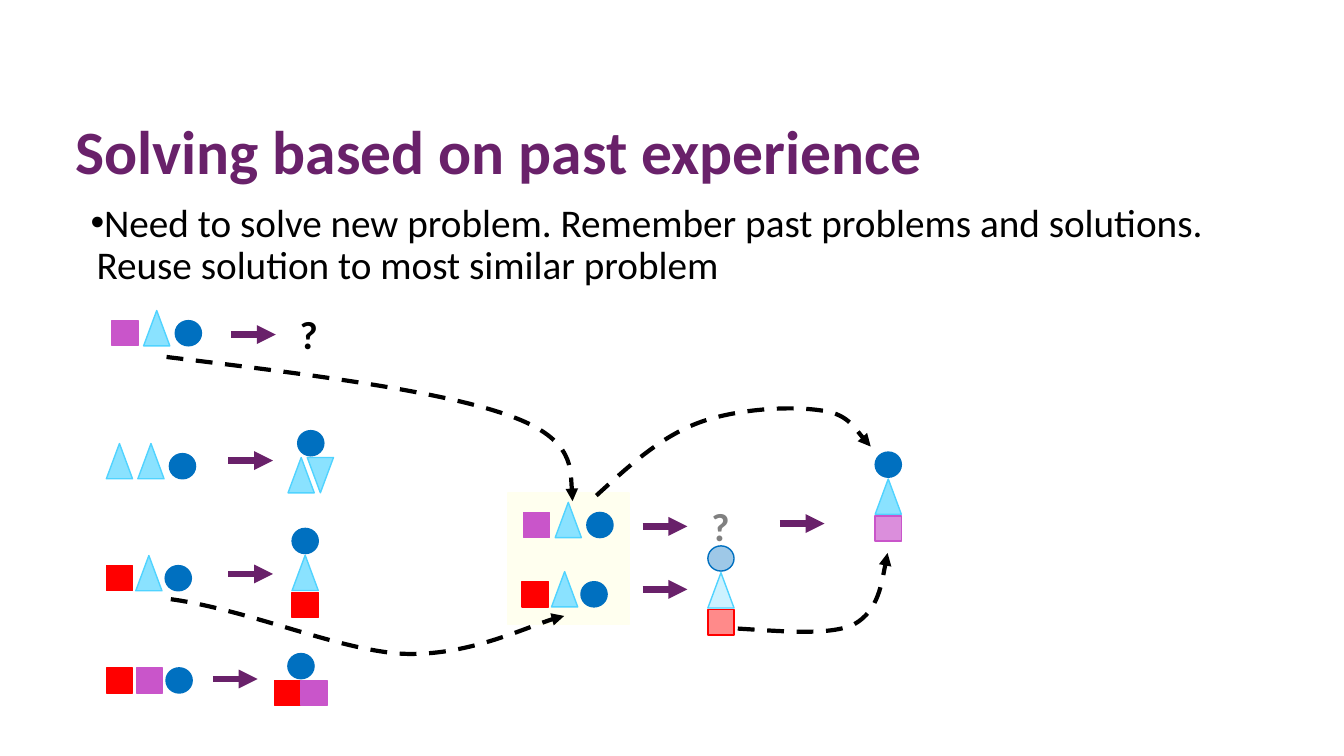
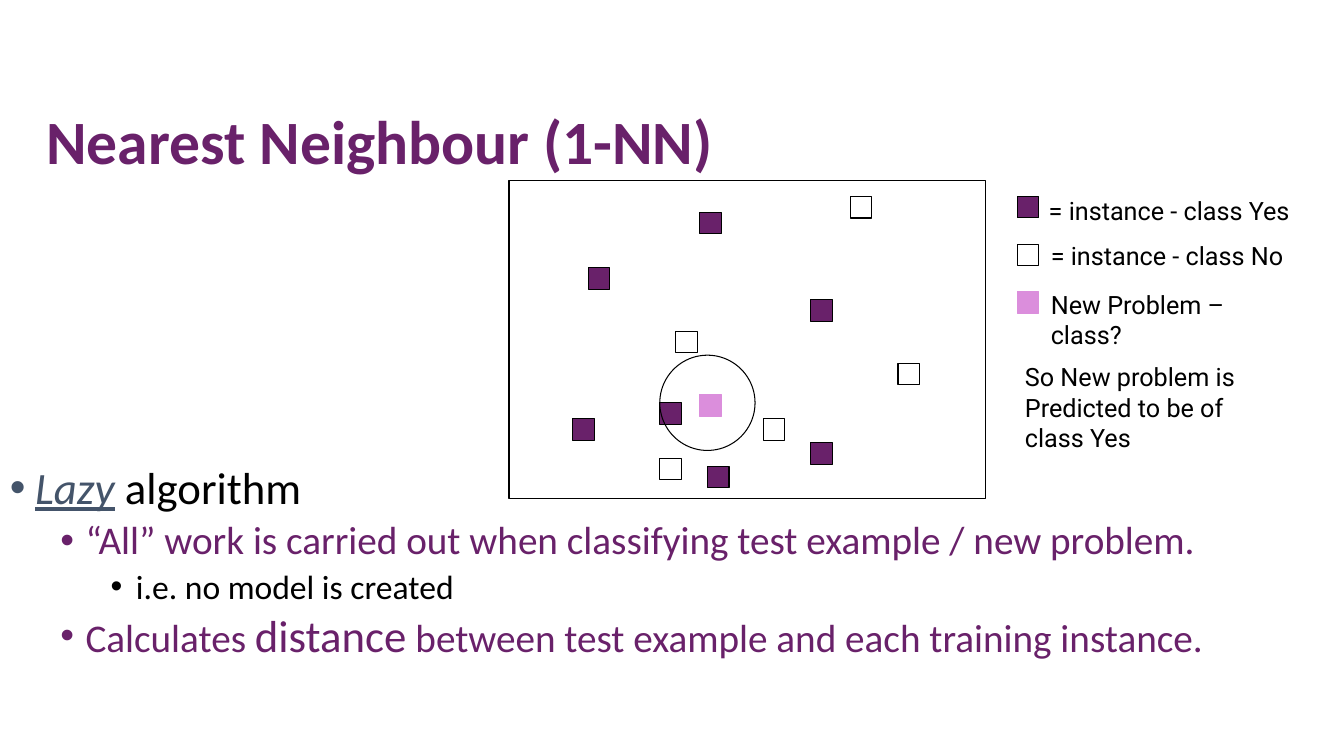
"""Build two slides on case-based solving and nearest neighbours."""
from lxml import etree
from pptx import Presentation
from pptx.dml.color import RGBColor
from pptx.enum import dml, shapes, text
from pptx.oxml import ns
from pptx.util import Pt

COLORS = {
    "plum": "69216A", "violet": "C955CA", "pink": "DB8EDC", "red": "FF0000",
    "sky": "8AE2FF", "sky_edge": "50D3FF", "blue": "0070C0", "cream": "FFFFEF",
    "black": "000000", "white": "FFFFFF", "grey": "808080", "slate": "44546A",
}
RECT = shapes.MSO_SHAPE.RECTANGLE
OVAL = shapes.MSO_SHAPE.OVAL
TRIANGLE = shapes.MSO_SHAPE.ISOSCELES_TRIANGLE

PIECE_W = 18.7
PIECES = {
    "red": (RECT, 18, "red", "red", 46),
    "violet": (RECT, 18, "violet", "violet", 100),
    "pink": (RECT, 18, "pink", "violet", 100),
    "cone": (TRIANGLE, 25.2, "sky", "sky_edge", 42),
    "flipped": (TRIANGLE, 25.2, "sky", "sky_edge", 42),
    "ball": (OVAL, 18, "blue", "blue", 38),
}
TOWER_GAP = 1.2
UNIT = 5.67
MARKER = 15.4


def rgb(name):
    """Return the named colour."""
    return RGBColor.from_string(COLORS[name])


def add_xml(parent, tag, **attrs):
    """Append a DrawingML element and return it."""
    return etree.SubElement(parent, ns.qn(tag), attrs)


def add_shape(s, kind, x, y, w, h, fill, line, weight=1.0, alpha=100):
    """Add a flat preset shape; a fill of None leaves it hollow."""
    sp = s.shapes.add_shape(kind, Pt(x), Pt(y), Pt(w), Pt(h))
    sp.shadow.inherit = False
    sp.line.color.rgb = rgb(line)
    sp.line.width = Pt(weight)
    if fill is None:
        sp.fill.background()
        return sp
    sp.fill.solid()
    sp.fill.fore_color.rgb = rgb(fill)
    if alpha < 100:
        color = sp.fill._xPr.find(".//" + ns.qn("a:srgbClr"))
        add_xml(color, "a:alpha", val=str(alpha * 1000))
    return sp


def add_textbox(s, x, y, w, h, wrap=True, anchor=text.MSO_ANCHOR.TOP):
    """Add an empty text box and return its text frame."""
    tf = s.shapes.add_textbox(Pt(x), Pt(y), Pt(w), Pt(h)).text_frame
    tf.word_wrap = wrap
    tf.vertical_anchor = anchor
    return tf


def style(font, size=None, color=None, name=None, bold=None):
    """Set the given font properties."""
    if size:
        font.size = Pt(size)
    if color:
        font.color.rgb = rgb(color)
    if name:
        font.name = name
    if bold:
        font.bold = True


def set_bullet(p, margin, level=0):
    """Give a paragraph a round bullet hanging by 18 points."""
    p.level = level
    pPr = p._p.get_or_add_pPr()
    pPr.set("marL", str(Pt(margin)))
    pPr.set("indent", str(Pt(-18)))
    add_xml(pPr, "a:buFont", typeface="Arial")
    add_xml(pPr, "a:buChar", char="•")
    p.line_spacing = 0.9


def add_title(s, x, y, words):
    """Add the slide title."""
    p = add_textbox(s, x, y, 828, 60, anchor=text.MSO_ANCHOR.MIDDLE).paragraphs[0]
    p.text = words
    p.line_spacing = 0.9
    style(p.font, 44, "plum", "Calibri", True)


def add_label(s, x, y, w, h, lines, size, color, name, bold=None):
    """Add unwrapped lines of text."""
    tf = add_textbox(s, x, y, w, h, wrap=False)
    for i, words in enumerate(lines):
        p = tf.add_paragraph() if i else tf.paragraphs[0]
        p.text = words
        style(p.font, size, color, name, bold)


def add_question(s, x, y, color):
    """Add a question mark for an unknown solution."""
    add_label(s, x, y, 27, 41, ["?"], 28, color, "Calibri", True)


def add_head(line):
    """End a line with a triangle arrowhead."""
    add_xml(line._get_or_add_ln(), "a:tailEnd", type="triangle")


def add_arrow(s, x, y):
    """Add a short thick arrow from problem to solution."""
    cn = s.shapes.add_connector(shapes.MSO_CONNECTOR.STRAIGHT,
                                Pt(x), Pt(y), Pt(x + 32), Pt(y))
    cn.line.color.rgb = rgb("plum")
    cn.line.width = Pt(4.5)
    add_head(cn.line)
    add_xml(cn._element.spPr, "a:effectLst")


def add_curve(s, points):
    """Add a dashed arrow along cubic curves: a start, then triples of points."""
    start, *rest = [(Pt(x), Pt(y)) for x, y in points]
    builder = s.shapes.build_freeform(*start)
    builder.add_line_segments(rest, close=False)
    sp = builder.convert_to_shape()
    sp.shadow.inherit = False
    sp.fill.background()
    sp.line.color.rgb = rgb("black")
    sp.line.width = Pt(3)
    sp.line.dash_style = dml.MSO_LINE.DASH
    add_head(sp.line)
    outline = sp._element.spPr.find(".//" + ns.qn("a:path"))
    legs = outline.findall(ns.qn("a:lnTo"))
    for i in range(0, len(legs), 3):
        bezier = add_xml(outline, "a:cubicBezTo")
        for leg in legs[i:i + 3]:
            bezier.append(leg[0])
            outline.remove(leg)


def add_row(s, x, bottom, pitch, names, faded=False):
    """Stand pieces side by side on a common base."""
    for i, name in enumerate(names):
        kind, h, fill, line, alpha = PIECES[name]
        sp = add_shape(s, kind, x + i * pitch, bottom - h, PIECE_W, h, fill, line,
                       alpha=alpha if faded else 100)
        if name == "flipped":
            sp.rotation = 180


def add_tower(s, cx, bottom, levels, pitch=PIECE_W, faded=False):
    """Stack centred levels of pieces from the base upwards."""
    for names in levels:
        width = PIECE_W + (len(names) - 1) * pitch
        add_row(s, cx - width / 2, bottom, pitch, names, faded)
        bottom -= PIECES[names[0]][1] + TOWER_GAP


def add_past_cases(s, x, y):
    """Place the new problem and the remembered cases in a column."""
    add_row(s, x + 4, y + 25, 22.6, ["violet", "cone", "ball"])
    add_arrow(s, x + 89, y + 17)
    add_question(s, x + 131, y - 4, "black")
    cases = [
        (120, 22.5, ["cone", "cone", "ball"], 87, 107,
         146, 130, [["cone", "flipped"], ["ball"]], 13.7),
        (200, 21, ["red", "cone", "ball"], 87, 188,
         142, 219, [["red"], ["cone"], ["ball"]], PIECE_W),
        (273, 21.3, ["red", "violet", "ball"], 76, 263,
         139, 282, [["red", "violet"], ["ball"]], PIECE_W),
    ]
    for base, step, problem, ax, ay, cx, foot, levels, pitch in cases:
        add_row(s, x, y + base, step, problem)
        add_arrow(s, x + ax, y + ay)
        add_tower(s, x + cx, y + foot, levels, pitch)


def add_match(s, x, y):
    """Place the most similar pair and the reused solution."""
    add_shape(s, RECT, x, y, 86.4, 94.3, "cream", "cream")
    add_row(s, x + 11, y + 32, 22.6, ["violet", "cone", "ball"])
    add_row(s, x + 10, y + 81.5, 21, ["red", "cone", "ball"])
    for ax, ay in ((96, 24), (96, 69), (194, 22)):
        add_arrow(s, x + ax, y + ay)
    add_question(s, x + 138, y + 3, "grey")
    add_tower(s, x + 152, y + 101.5, [["red"], ["cone"], ["ball"]], faded=True)
    add_tower(s, x + 271.5, y + 34.5, [["pink"], ["cone"], ["ball"]])


def add_links(s, x, y):
    """Draw the dashed curves that link cases, match and solution."""
    curves = [
        [(46, 206), (103, 214), (164, 242), (211, 245),
         (257, 247), (308, 222), (327, 218)],
        [(43, 33), (141, 45), (239, 57), (288, 75),
         (336, 92), (333, 136), (333, 136)],
        [(350, 132), (373, 111), (396, 90), (423, 80), (450, 70),
         (488, 68), (509, 71), (529, 73), (539, 90), (546, 97)],
        [(451, 227), (484, 229), (517, 232), (534, 224),
         (552, 214), (558, 173), (558, 173)],
    ]
    for points in curves:
        add_curve(s, [(x + px, y + py) for px, py in points])


def add_experience_slide(prs):
    """Build the slide on solving from past experience."""
    s = prs.slides.add_slide(prs.slide_layouts[6])
    add_past_cases(s, 76, 222)
    add_match(s, 363, 352)
    add_links(s, 76, 222)
    p = add_textbox(s, 57.6, 141.8, 841, 160).paragraphs[0]
    p.text = ("Need to solve new problem. Remember past problems and solutions. "
              "Reuse solution to most similar problem")
    set_bullet(p, 4.3)
    style(p.font, 28, "black", "Calibri")
    add_title(s, 46.8, 80.6, "Solving based on past experience")


def add_marker(s, x, y, col, row, fill, line="black"):
    """Add an instance square at a grid position."""
    add_shape(s, RECT, x + col * UNIT, y + row * UNIT, MARKER, MARKER, fill, line, 0.75)


def add_plot(s, x, y):
    """Place the instances, the neighbourhood circle and the frame."""
    instances = {
        "plum": [(19, 28), (38, 15), (10, 11), (8, 30), (24, 4), (25, 36), (38, 33)],
        "white": [(21, 19), (19, 35), (32, 30), (49, 23), (43, 2)],
    }
    for fill, cells in instances.items():
        for col, row in cells:
            add_marker(s, x, y, col, row, fill)
    add_marker(s, x, y, 24, 27, "pink", "pink")
    add_shape(s, OVAL, x + 19 * UNIT, y + 22 * UNIT, 12 * UNIT, 12 * UNIT,
              None, "black", 0.75)
    add_shape(s, RECT, x, y, 60 * UNIT, 40 * UNIT, None, "black", 0.75)


def add_legend(s, x, y):
    """Explain the markers and give the predicted class."""
    entries = [
        ("plum", "black", 15.5, -4.5, "= instance - class Yes"),
        ("white", "black", 17, 28, "= instance - class No"),
        ("pink", "pink", 17, 62.5, "New Problem – class?"),
    ]
    for i, (fill, line, dx, dy, words) in enumerate(entries):
        add_marker(s, x, y, 0, 6 * i, fill, line)
        add_label(s, x + dx, y + dy, 190, 29, [words], 18, "black", "Roboto")
    add_label(s, x - 1.5, y + 114.5, 170, 73,
              ["So New problem is", "Predicted to be of", "class Yes"],
              18, "black", "Roboto")


def add_outline(s, x, y):
    """Write the bulleted notes on the lazy algorithm."""
    notes = [
        (0, 32, None, [("Lazy", None, "slate"), (" algorithm", None, "black")]),
        (1, 28, "plum", [("“All” work is carried out when classifying "
                          "test example / new problem.", None, None)]),
        (2, 24, "black", [("i.e. no model is created", None, None)]),
        (1, None, "plum", [("Calculates ", 28, None), ("distance", 32, None),
                           (" between test example and each training instance.",
                            28, None)]),
    ]
    tf = add_textbox(s, x, y, 940, 158)
    for i, (level, size, color, runs) in enumerate(notes):
        p = tf.add_paragraph() if i else tf.paragraphs[0]
        set_bullet(p, 18 + 36 * level, level)
        p.space_before = Pt(5 if level else 10)
        style(p.font, size, color, "Calibri")
        for words, run_size, run_color in runs:
            r = p.add_run()
            r.text = words
            style(r.font, run_size, run_color)
    lazy = tf.paragraphs[0].runs[0].font
    lazy.italic = lazy.underline = True


def add_neighbour_slide(prs):
    """Build the slide on the nearest neighbour."""
    s = prs.slides.add_slide(prs.slide_layouts[6])
    add_plot(s, 363.6, 129)
    add_legend(s, 726.5, 140.3)
    add_outline(s, 0, 329)
    add_title(s, 26, 73.4, "Nearest Neighbour (1-NN)")


def main():
    """Create the presentation and save it."""
    prs = Presentation()
    prs.slide_width, prs.slide_height = Pt(960), Pt(540)
    add_experience_slide(prs)
    add_neighbour_slide(prs)
    prs.save("out.pptx")


if __name__ == "__main__":
    main()
